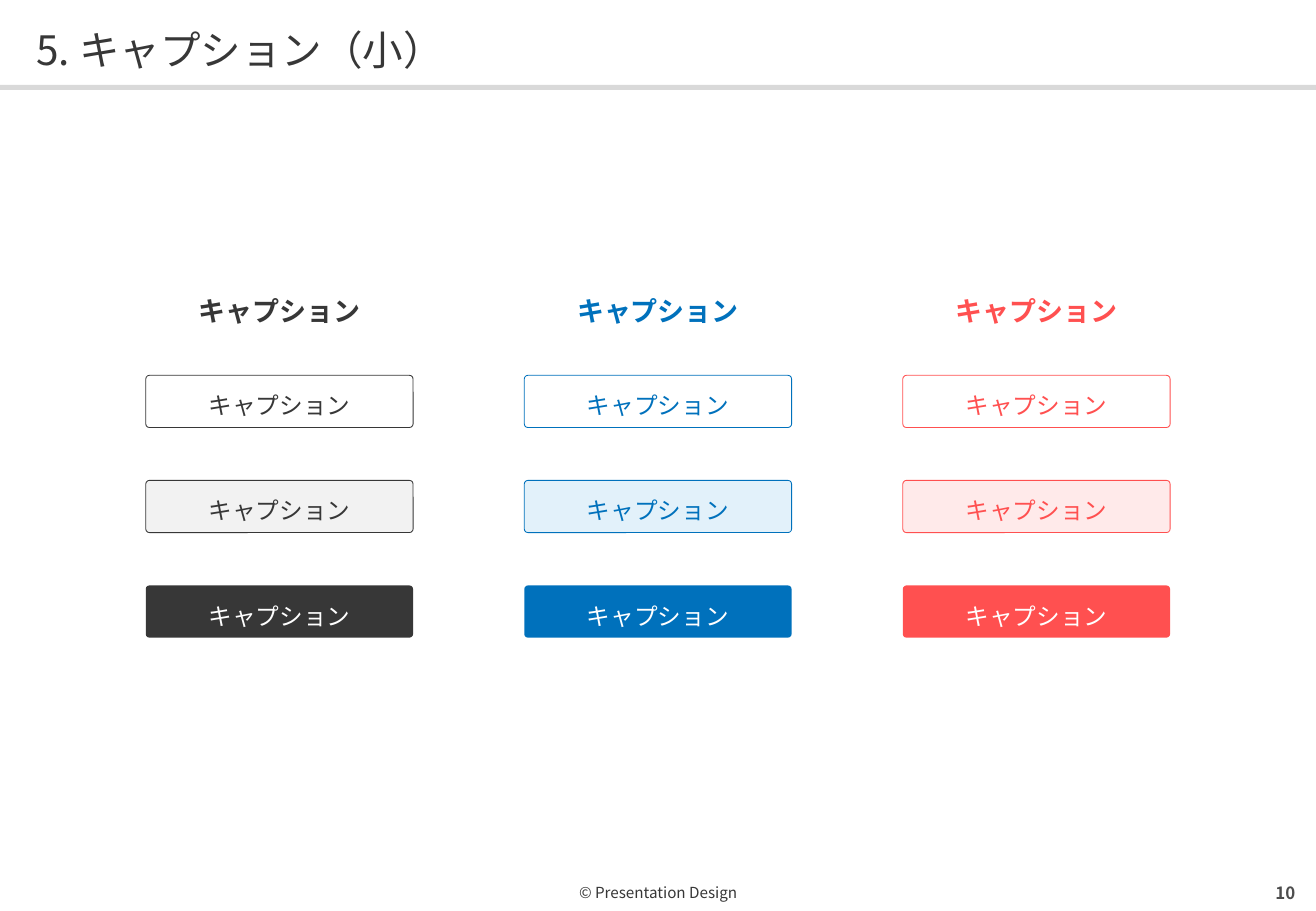
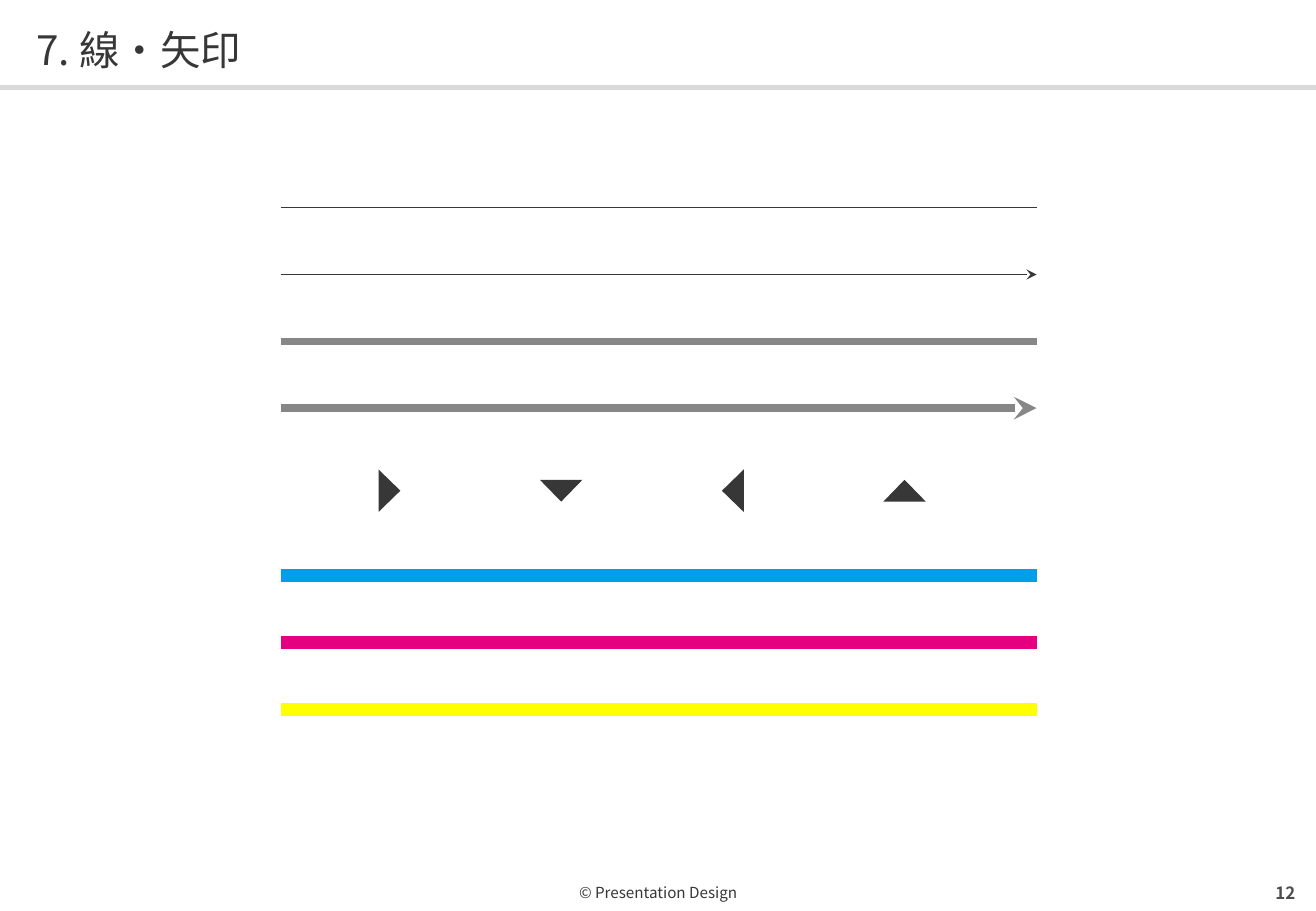
from lxml.etree import SubElement
from pptx import Presentation
from pptx.dml.color import RGBColor
from pptx.enum.shapes import MSO_CONNECTOR, MSO_SHAPE
from pptx.enum.text import MSO_ANCHOR, MSO_AUTO_SIZE, PP_ALIGN
from pptx.oxml.ns import qn
from pptx.util import Inches, Pt

FONT = "Noto Sans CJK JP"
INK = {
    "dark": "373737", "gray": "878787", "band": "D9D9D9", "page": "4D4D4D",
    "white": "FFFFFF", "pale": "F2F2F2", "blue": "0071BC", "sky": "E2F1FA",
    "red": "FF5050", "rose": "FFEAEA", "cyan": "00A0E9", "pink": "E4007F",
    "yellow": "FFFF00",
}
WIDE, HIGH = 10.83, 7.5


def rgb(name):
    return RGBColor.from_string(INK[name])


def write(shape, text, size, color, align=PP_ALIGN.CENTER, bold=False, space=1.0,
          pad=(0, 0, 0, 0), anchor=MSO_ANCHOR.MIDDLE, fit=MSO_AUTO_SIZE.NONE):
    """Put one formatted run of text into a shape."""
    frame = shape.text_frame
    frame.word_wrap = True
    frame.auto_size = fit
    frame.vertical_anchor = anchor
    (frame.margin_left, frame.margin_top,
     frame.margin_right, frame.margin_bottom) = map(Inches, pad)
    para = frame.paragraphs[0]
    para.alignment, para.line_spacing = align, space
    run = para.add_run()
    run.text = text
    font = run.font
    font.name, font.size, font.bold = FONT, Pt(size), bold
    font.color.rgb = rgb(color)
    SubElement(run._r.get_or_add_rPr(), qn("a:ea"), typeface=FONT)


def add_box(slide, kind, box, fill=None, line=None):
    shape = slide.shapes.add_shape(kind, *map(Inches, box))
    shape.shadow.inherit = False
    if fill:
        shape.fill.solid()
        shape.fill.fore_color.rgb = rgb(fill)
    else:
        shape.fill.background()
    if line:
        shape.line.color.rgb = rgb(line)
        shape.line.width = Pt(0.5)
    else:
        shape.line.fill.background()
    return shape


def add_line(slide, left, top, width, color, weight, arrow=False):
    ends = map(Inches, (left, top, left + width, top))
    line = slide.shapes.add_connector(MSO_CONNECTOR.STRAIGHT, *ends)
    line.line.color.rgb = rgb(color)
    line.line.width = Pt(weight)
    if arrow:
        SubElement(line.line._get_or_add_ln(), qn("a:tailEnd"), type="stealth")
    SubElement(line._element.spPr, qn("a:effectLst"))


def set_frame(slide):
    """Move the shared band and footer into the layout of the slide."""
    foot = add_box(slide, MSO_SHAPE.RECTANGLE, (3.72, 7.21, 3.39, 0.21))
    write(foot, "© Presentation Design", 9, "dark", space=1.4, anchor=MSO_ANCHOR.TOP)
    band = add_box(slide, MSO_SHAPE.RECTANGLE, (0, 0.7, WIDE, 0.04), "band")
    for part in (foot, band):
        slide.slide_layout.shapes.element.append(part._element)


def add_slide(deck, title, page):
    slide = deck.slides.add_slide(deck.slide_layouts[5])
    head = slide.shapes.title
    head.left, head.top, head.width, head.height = map(Inches, (0.3, 0.17, 10.24, 0.43))
    write(head, title, 24, "dark", PP_ALIGN.LEFT, space=1.1)
    num = slide.shapes.add_textbox(*map(Inches, (8.13, 7.21, 2.53, 0.28)))
    write(num, page, 10, "page", PP_ALIGN.RIGHT, bold=True)
    return slide


def add_stack(slide, left, top, color, tint):
    """One column: a bold heading over outlined, tinted and solid captions."""
    text, width = "キャプション", 2.2
    grow = MSO_AUTO_SIZE.SHAPE_TO_FIT_TEXT
    head = add_box(slide, MSO_SHAPE.RECTANGLE, (left, top, width, 0.32))
    write(head, text, 16, color, bold=True, space=1.2, fit=grow)
    looks = ((None, color, color), (tint, color, color), (color, None, "white"))
    for row, (fill, line, ink) in enumerate(looks):
        box = (left, top + 0.72 + row * 0.865, width, 0.43)
        label = add_box(slide, MSO_SHAPE.ROUNDED_RECTANGLE, box, fill, line)
        label.adjustments[0] = 0.07
        write(label, text, 14, ink, space=1.2, pad=(0.2, 0.08, 0.2, 0.06), fit=grow)


def add_rules(slide, left, top, width, rules):
    for row, rule in enumerate(rules):
        add_line(slide, left, top + row * 0.55, width, *rule)


def add_marks(slide, left, top):
    """Triangles that point right, down, left and up."""
    for col, turn in enumerate((90, 180, 270, 0)):
        box = (left + col * 1.413, top, 0.35, 0.18)
        mark = add_box(slide, MSO_SHAPE.ISOSCELES_TRIANGLE, box, "dark")
        mark.rotation = turn


def main():
    deck = Presentation()
    deck.slide_width, deck.slide_height = Inches(WIDE), Inches(HIGH)

    slide = add_slide(deck, "5. キャプション（小）", "10")
    set_frame(slide)
    tones = (("dark", "pale"), ("blue", "sky"), ("red", "rose"))
    for col, (color, tint) in enumerate(tones):
        add_stack(slide, 1.2 + col * 3.115, 2.37, color, tint)

    slide = add_slide(deck, "7. 線・矢印", "12")
    left, width = 2.31, 6.22
    add_rules(slide, left, 1.71, width, (
        ("dark", 0.5), ("dark", 0.5, True), ("gray", 4.5), ("gray", 4.5, True)))
    add_marks(slide, 3.03, 3.95)
    add_rules(slide, left, 4.74, width, (("cyan", 8), ("pink", 8), ("yellow", 8)))

    deck.save("out.pptx")


if __name__ == "__main__":
    main()
